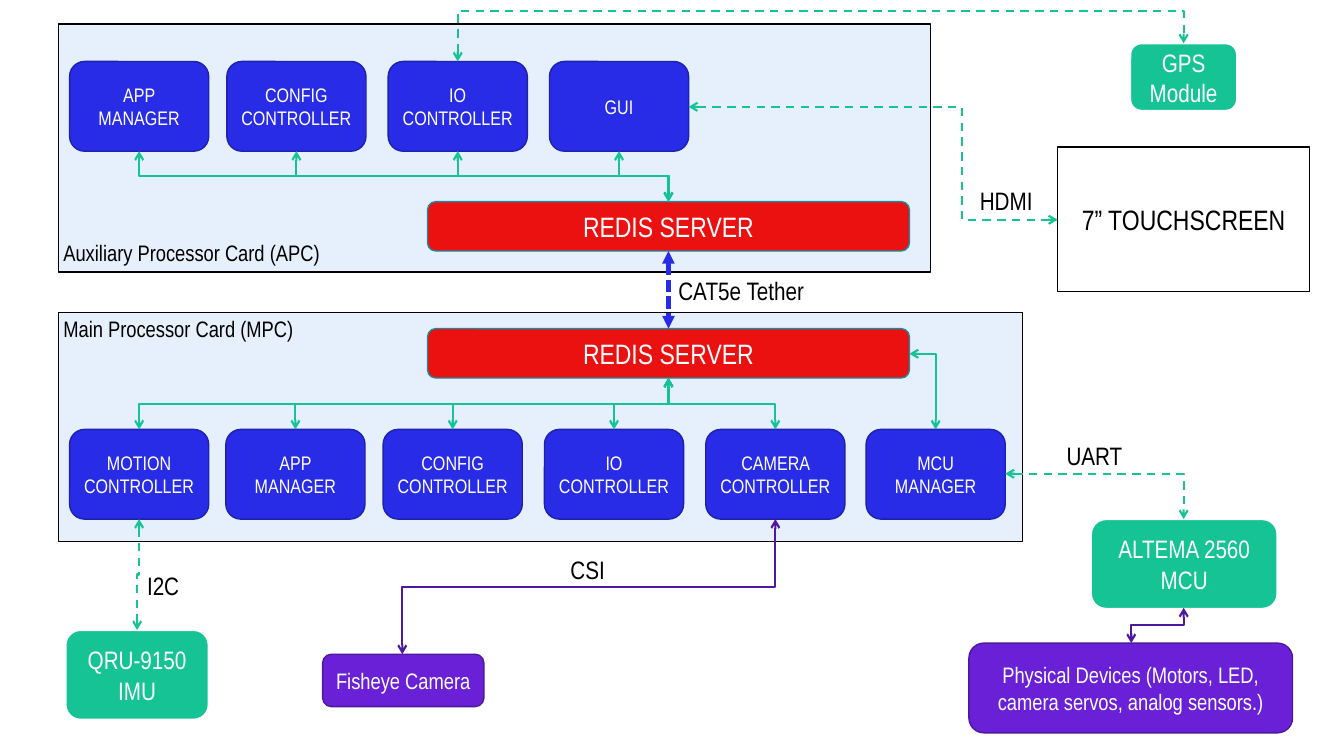
from lxml.etree import SubElement
from pptx import Presentation
from pptx.dml.color import RGBColor
from pptx.enum.dml import MSO_LINE
from pptx.enum.shapes import MSO_CONNECTOR, MSO_SHAPE
from pptx.enum.text import MSO_ANCHOR, MSO_AUTO_SIZE, PP_ALIGN
from pptx.oxml.ns import qn
from pptx.util import Inches, Pt

BLACK = RGBColor(0x00, 0x00, 0x00)
WHITE = RGBColor(0xFF, 0xFF, 0xFF)
PALE_BLUE = RGBColor(0xCE, 0xE1, 0xFA)
BLUE = RGBColor(0x29, 0x2C, 0xE7)
DARK_BLUE = RGBColor(0x1E, 0x21, 0xAB)
RED = RGBColor(0xEB, 0x11, 0x11)
TEAL = RGBColor(0x1C, 0x8A, 0x9E)
GREEN = RGBColor(0x15, 0xC3, 0x95)
PURPLE = RGBColor(0x69, 0x20, 0xD6)
DARK_PURPLE = RGBColor(0x4E, 0x18, 0x9E)
FONT = "Arial Narrow"

# Grid of the two processor cards, in inches
APC_COLUMNS = [0.69, 2.25, 3.85, 5.45]
MPC_COLUMNS = [0.69, 2.24, 3.8, 5.4, 7, 8.59]
APC_ROW, MPC_ROW = 0.61, 4.26
MODULE_WIDTH, MODULE_HEIGHT = 1.38, 0.89
APC_CENTERS = [left + MODULE_WIDTH / 2 for left in APC_COLUMNS]
MPC_CENTERS = [left + MODULE_WIDTH / 2 for left in MPC_COLUMNS]
APC_BOTTOM = APC_ROW + MODULE_HEIGHT
MPC_BOTTOM = MPC_ROW + MODULE_HEIGHT
SERVER_LEFT, SERVER_WIDTH, SERVER_HEIGHT = 4.24, 4.78, 0.49
SERVER_CENTER = SERVER_LEFT + SERVER_WIDTH / 2
SERVER_RIGHT = SERVER_LEFT + SERVER_WIDTH
APC_SERVER, MPC_SERVER = 2, 3.26
DEVICE_CENTER = 11.74

presentation = Presentation()
presentation.slide_width = Inches(13.33)
presentation.slide_height = Inches(7.5)
slide = presentation.slides.add_slide(presentation.slide_layouts[6])


def add_box(frame, text, size, fill, line, line_width=1, rounded=True, color=WHITE):
    kind = MSO_SHAPE.ROUNDED_RECTANGLE if rounded else MSO_SHAPE.RECTANGLE
    shape = slide.shapes.add_shape(kind, *map(Inches, frame))
    shape.shadow.inherit = False
    shape.fill.solid()
    shape.fill.fore_color.rgb = fill
    shape.line.color.rgb = line
    shape.line.width = Pt(line_width)
    if text:
        shape.text_frame.vertical_anchor = MSO_ANCHOR.MIDDLE
        paragraph = shape.text_frame.paragraphs[0]
        paragraph.text = text
        paragraph.alignment = PP_ALIGN.CENTER
        for name, value in {"name": FONT, "size": Pt(size)}.items():
            setattr(paragraph.font, name, value)
        paragraph.font.color.rgb = color
    return shape


def add_link(start, end, color=GREEN, dash=None, bends=2, vertical=True,
             bend_at=0.5, width=1.5, arrow="arrow"):
    """Join two points by a two-headed line; a vertical one leaves its start upright."""
    (x1, y1), (x2, y2) = start, end
    if vertical:
        # The preset leaves sideways, so lay it out flat and turn it by a quarter
        middle_x, middle_y = (x1 + x2) / 2, (y1 + y2) / 2
        half_width = abs(y2 - y1) / 2 * (-1 if x2 > x1 else 1)
        half_height = abs(x2 - x1) / 2 * (-1 if y2 < y1 else 1)
        x1, x2 = middle_x - half_width, middle_x + half_width
        y1, y2 = middle_y - half_height, middle_y + half_height
    kind = MSO_CONNECTOR.ELBOW if bends else MSO_CONNECTOR.STRAIGHT
    connector = slide.shapes.add_connector(kind, *map(Inches, (x1, y1, x2, y2)))
    connector.line.color.rgb = color
    connector.line.width = Pt(width)
    if dash:
        connector.line.dash_style = dash
    properties = connector.element.spPr
    if vertical:
        quarter = 90 if (end[0] < start[0]) == (end[1] > start[1]) else 270
        properties.find(qn("a:xfrm")).set("rot", str(quarter * 60000))
    geometry = properties.find(qn("a:prstGeom"))
    if bends == 1:
        geometry.set("prst", "bentConnector2")
    elif bends == 2:
        SubElement(geometry.find(qn("a:avLst")), qn("a:gd"), name="adj1",
                   fmla=f"val {round(bend_at * 100000)}")
    for arrow_end in ("a:headEnd", "a:tailEnd"):
        SubElement(properties.find(qn("a:ln")), qn(arrow_end), type=arrow)
    SubElement(properties, qn("a:effectLst"))


# Processor cards
for frame in [(0.58, 0.24, 8.65, 2.46), (0.58, 3.1, 9.56, 2.27)]:
    card = add_box(frame, "", 0, PALE_BLUE, BLACK, rounded=False)
    fill_color = card.element.spPr.find(qn("a:solidFill"))[0]
    SubElement(fill_color, qn("a:alpha"), val="50000")

for top in (APC_SERVER, MPC_SERVER):
    add_box((SERVER_LEFT, top, SERVER_WIDTH, SERVER_HEIGHT), "REDIS SERVER", 20, RED, TEAL)

module_rows = [
    (APC_ROW, APC_COLUMNS, ["APP MANAGER", "CONFIG CONTROLLER", "IO CONTROLLER", "GUI"]),
    (MPC_ROW, MPC_COLUMNS, ["MOTION CONTROLLER", "APP MANAGER", "CONFIG CONTROLLER",
                            "IO CONTROLLER", "CAMERA CONTROLLER", "MCU MANAGER"]),
]
for top, columns, names in module_rows:
    for left, name in zip(columns, names):
        add_box((left, top, MODULE_WIDTH, MODULE_HEIGHT), name, 14, BLUE, DARK_BLUE)

# Devices outside the cards
green_devices = [
    ((10.82, 5.15, 1.85, 0.89), "ALTEMA 2560 MCU"),
    ((0.65, 6.25, 1.42, 0.89), "QRU-9150 IMU"),
    ((11.21, 0.43, 1.06, 0.67), "GPS Module"),
]
for frame, name in green_devices:
    add_box(frame, name, 18, GREEN, WHITE, line_width=1.5)
purple_devices = [
    ((9.61, 6.38, 3.21, 0.89), "Physical Devices (Motors, LED, camera servos, analog sensors.)"),
    ((3.2, 6.49, 1.6, 0.52), "Fisheye Camera"),
]
for frame, name in purple_devices:
    add_box(frame, name, 16, PURPLE, DARK_PURPLE)
add_box((10.49, 1.46, 2.5, 1.43), "7” TOUCHSCREEN", 20, WHITE, BLACK,
        rounded=False, color=BLACK)

# Links between the servers and their modules
for center in APC_CENTERS:
    add_link((SERVER_CENTER, APC_SERVER), (center, APC_BOTTOM))
for center in MPC_CENTERS[:-1]:
    add_link((SERVER_CENTER, MPC_SERVER + SERVER_HEIGHT), (center, MPC_ROW))
add_link((SERVER_RIGHT, 3.51), (MPC_CENTERS[5], MPC_ROW), bends=1, vertical=False)
add_link((SERVER_CENTER, APC_SERVER + SERVER_HEIGHT), (SERVER_CENTER, MPC_SERVER), BLUE,
         MSO_LINE.SQUARE_DOT, bends=0, vertical=False, width=3, arrow="triangle")

# Links to the devices
add_link((MPC_COLUMNS[5] + MODULE_WIDTH, 4.7), (DEVICE_CENTER, 5.15),
         dash=MSO_LINE.DASH, bends=1, vertical=False)
add_link((APC_COLUMNS[3] + MODULE_WIDTH, 1.06), (10.49, 2.18),
         dash=MSO_LINE.DASH, vertical=False, bend_at=0.74)
add_link((APC_CENTERS[2], APC_ROW), (DEVICE_CENTER, 0.43), dash=MSO_LINE.DASH, bend_at=2.77)
add_link((MPC_CENTERS[0], MPC_BOTTOM), (1.36, 6.25), dash=MSO_LINE.DASH)
add_link((MPC_CENTERS[4], MPC_BOTTOM), (3.99, 6.49), DARK_PURPLE)
add_link((DEVICE_CENTER, 6.03), (11.22, 6.38), DARK_PURPLE)

labels = [
    ((10.48, 4.32, 0.76, 0.4), "UART", 18),
    ((6.63, 2.68, 1.46, 0.4), "CAT5e Tether", 18),
    ((1.36, 5.61, 0.52, 0.4), "I2C", 18),
    ((9.62, 1.79, 0.73, 0.4), "HDMI", 18),
    ((5.56, 5.45, 0.55, 0.4), "CSI", 18),
    ((0.53, 3.08, 2.51, 0.37), "Main Processor Card (MPC)", 16),
    ((0.53, 2.32, 2.78, 0.37), "Auxiliary Processor Card (APC)", 16),
]
for frame, text, size in labels:
    text_frame = slide.shapes.add_textbox(*map(Inches, frame)).text_frame
    text_frame.word_wrap = False
    text_frame.auto_size = MSO_AUTO_SIZE.SHAPE_TO_FIT_TEXT
    paragraph = text_frame.paragraphs[0]
    paragraph.text = text
    for name, value in {"name": FONT, "size": Pt(size)}.items():
        setattr(paragraph.font, name, value)
    paragraph.font.color.rgb = BLACK

presentation.save("out.pptx")
